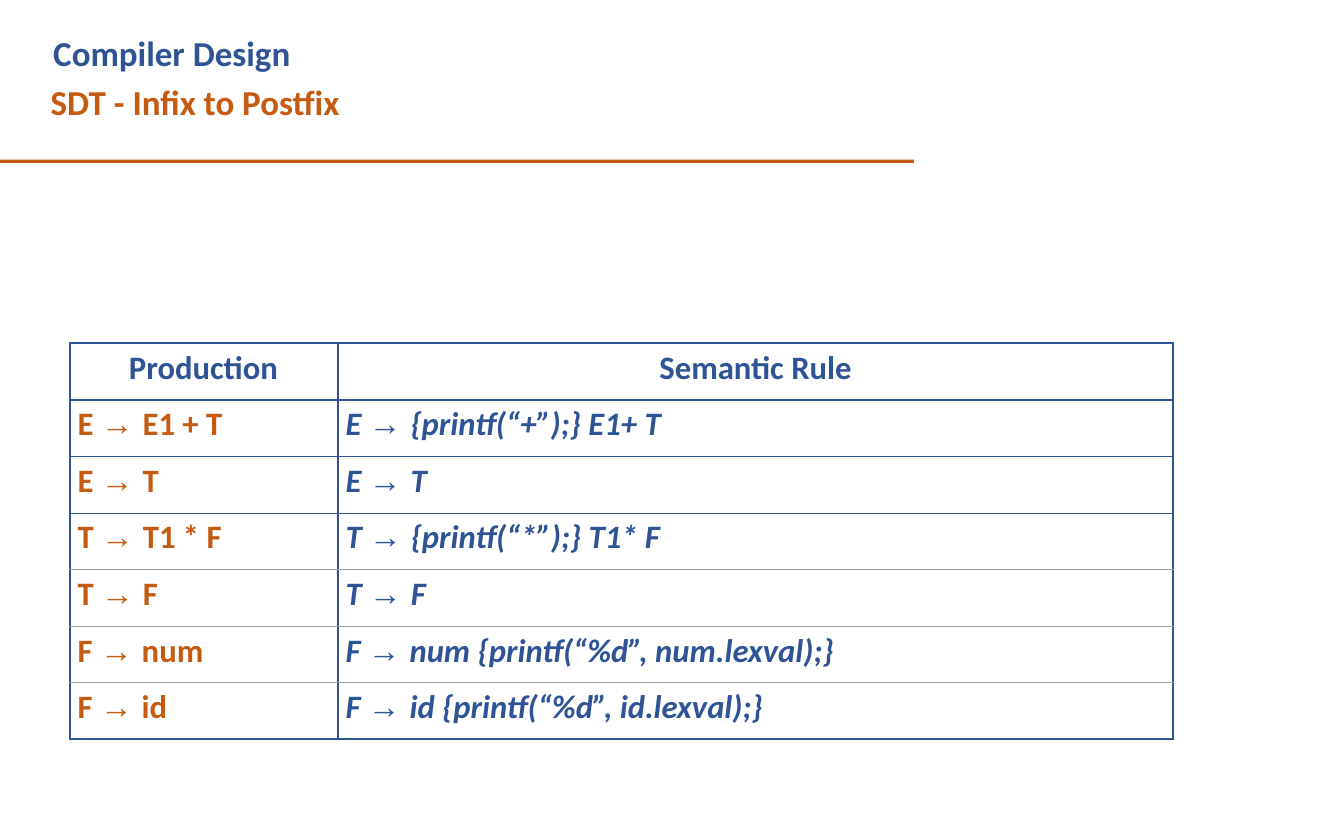
from lxml import etree
from pptx import Presentation
from pptx.dml.color import RGBColor
from pptx.enum.shapes import MSO_SHAPE
from pptx.enum.text import MSO_ANCHOR, MSO_AUTO_SIZE, PP_ALIGN
from pptx.oxml.ns import qn
from pptx.util import Cm, Pt

RECTANGLE = MSO_SHAPE.RECTANGLE
TOP = MSO_ANCHOR.TOP
NO_AUTOFIT = MSO_AUTO_SIZE.NONE
LEFT, CENTER = PP_ALIGN.LEFT, PP_ALIGN.CENTER

BLUE, ORANGE, GRAY = "2F5496", "C55A11", "9E9E9E"
THICK_BLUE, THIN_BLUE, THIN_GRAY = (BLUE, 2.25), (BLUE, 0.75), (GRAY, 0.75)


def style_run(run, size, color, name="Calibri", italic=False):
    run.font.name = name
    run.font.size = Pt(size)
    run.font.bold = True
    run.font.italic = italic
    run.font.color.rgb = RGBColor.from_string(color)


def add_border(cell, side, color, width):
    properties = cell._tc.get_or_add_tcPr()
    line = etree.SubElement(properties, qn(f"a:ln{side}"), w=str(Pt(width)))
    fill = etree.SubElement(line, qn("a:solidFill"))
    etree.SubElement(fill, qn("a:srgbClr"), val=color)


presentation = Presentation()
presentation.slide_width = Cm(40.64)
presentation.slide_height = Cm(25.4)
slide = presentation.slides.add_slide(presentation.slide_layouts[5])

title = slide.shapes.title
title.left, title.top, title.width, title.height = Cm(1.5), Cm(0.74), Cm(9.5), Cm(3.02)
frame = title.text_frame
frame.margin_left = frame.margin_right = frame.margin_top = frame.margin_bottom = 0
frame.vertical_anchor = TOP
frame.auto_size = NO_AUTOFIT
frame.word_wrap = True
frame.text = "Compiler Design\vSDT - Infix to Postfix"
paragraph = frame.paragraphs[0]
paragraph.alignment = LEFT
paragraph.line_spacing = 1.17
paragraph._p.get_or_add_pPr().set("marL", str(Cm(0.03)))
paragraph._p.get_or_add_pPr().set("indent", str(Cm(0.08)))
for run, color in zip(paragraph.runs, (BLUE, ORANGE)):
    style_run(run, 30, color)

rule = slide.shapes.add_shape(RECTANGLE, 0, Cm(4.83), Cm(27.64), Cm(0.1))
rule.shadow.inherit = False
rule.fill.solid()
rule.fill.fore_color.rgb = RGBColor.from_string(ORANGE)
rule.line.fill.background()

rows = [
    ("Production", "Semantic Rule"),
    ("E → E1 + T", "E → {printf(“+”);} E1+ T"),
    ("E → T", "E → T"),
    ("T → T1 * F", "T → {printf(“*”);} T1* F"),
    ("T → F", "T → F"),
    ("F → num", "F → num {printf(“%d”, num.lexval);}"),
    ("F → id", "F → id {printf(“%d”, id.lexval);}"),
]
row_lines = [THICK_BLUE] * 2 + [THIN_BLUE] * 2 + [THIN_GRAY] * 3 + [THICK_BLUE]
column_widths = [Cm(8.1), Cm(25.25)]
row_height = Cm(1.71)

table = slide.shapes.add_table(
    len(rows), 2, Cm(2.12), Cm(10.38), sum(column_widths), row_height * len(rows)
).table
table.first_row = False
table.horz_banding = False
for column, width in zip(table.columns, column_widths):
    column.width = width

for row_index, texts in enumerate(rows):
    table.rows[row_index].height = row_height
    for column_index, text in enumerate(texts):
        cell = table.cell(row_index, column_index)
        cell.margin_left = cell.margin_right = cell.margin_bottom = 0
        cell.margin_top = Cm(0.15)
        cell.vertical_anchor = TOP
        borders = (THICK_BLUE, THICK_BLUE, row_lines[row_index], row_lines[row_index + 1])
        for side, border in zip("LRTB", borders):
            add_border(cell, side, *border)
        cell.fill.background()

        is_header = row_index == 0
        is_rule = column_index == 1
        paragraph = cell.text_frame.paragraphs[0]
        if is_header and is_rule:
            paragraph.alignment = CENTER
        else:
            indent = Cm(1.78) if is_header else Cm(0.23)
            paragraph._p.get_or_add_pPr().set("marL", str(indent))
        color = BLUE if is_header or is_rule else ORANGE
        before, arrow, after = text.partition("→ ")
        for part, font_name in ((before, "Calibri"), (arrow, "Arial"), (after, "Calibri")):
            if part:
                run = paragraph.add_run()
                run.text = part
                style_run(run, 28, color, font_name, is_rule and not is_header)

presentation.save("out.pptx")
